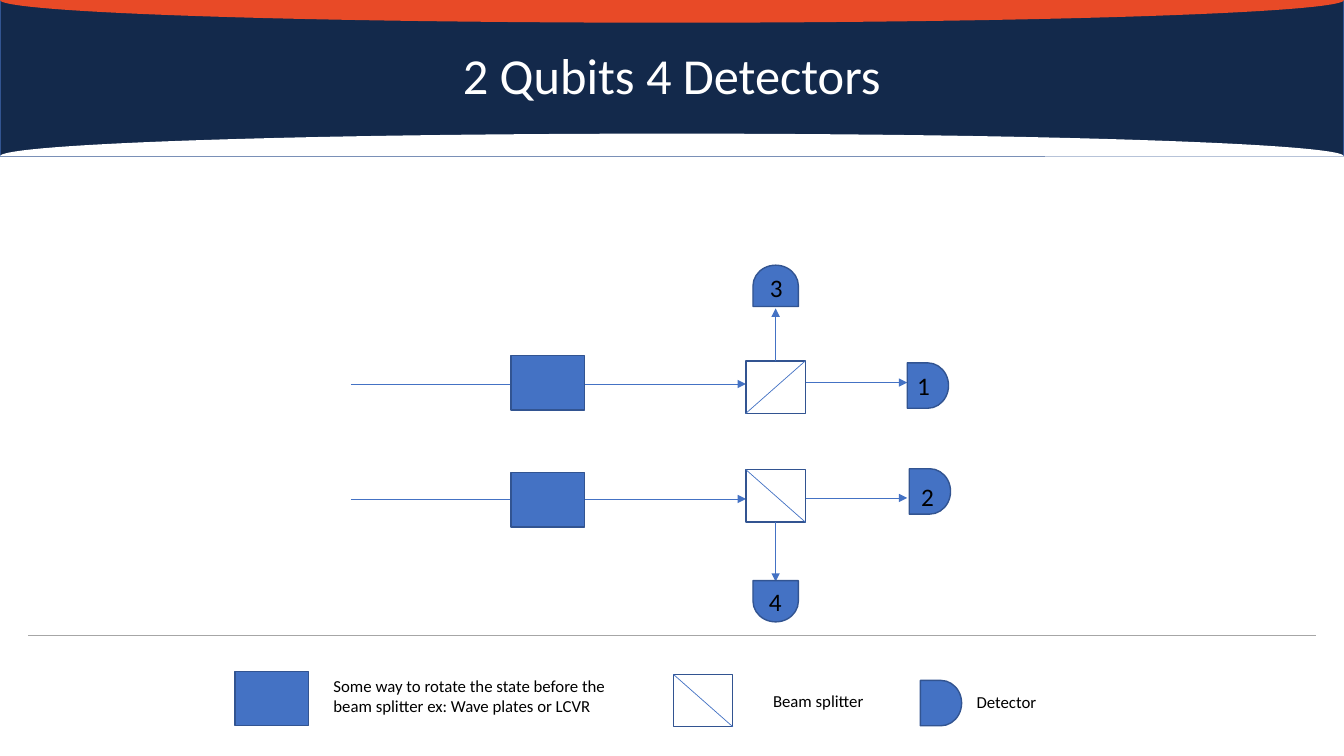
from lxml.etree import SubElement
from pptx import Presentation
from pptx.dml.color import RGBColor
from pptx.enum.shapes import MSO_CONNECTOR, MSO_SHAPE
from pptx.enum.text import MSO_ANCHOR, PP_ALIGN
from pptx.oxml.ns import qn
from pptx.util import Inches, Pt

# The slide is a grid of square cells, 0.1 inch wide; all lengths are in cells.
COLS, ROWS = 133.33, 75
BLUE, EDGE, NAVY, RUST = "4472C4", "325491", "13294B", "E84A27"
WHITE, BLACK, GREY = "FFFFFF", "000000", "A6A6A6"
PLATE, CUBE, CELL = (7.3, 5.4), (5.9, 5.2), (4.1, 4.5)


def grid(*cells):
    return [Inches(c / 10) for c in cells]


def color(code):
    return RGBColor.from_string(code)


def add_form(shapes, kind, x, y, size, fill, edge=EDGE, turn=0):
    form = shapes.add_shape(kind, *grid(x, y, *size))
    form.shadow.inherit = False
    form.rotation = turn
    form.fill.solid()
    form.fill.fore_color.rgb = color(fill)
    if edge:
        form.line.color.rgb = color(edge)
        form.line.width = Pt(1)
    else:
        form.line.fill.background()
    return form


def add_line(shapes, start, end, tint=BLUE, arrow=False):
    line = shapes.add_connector(MSO_CONNECTOR.STRAIGHT, *grid(*start, *end))
    line.line.color.rgb = color(tint)
    line.line.width = Pt(0.5)
    if arrow:
        SubElement(line.line._get_or_add_ln(), qn("a:tailEnd"), type="triangle")
    SubElement(line._element.spPr, qn("a:effectLst"))
    return line


def add_text(shapes, x, y, size, words, points, tint=BLACK):
    box = shapes.add_textbox(*grid(x, y, *size))
    frame = box.text_frame
    frame.word_wrap = True
    run = frame.paragraphs[0].add_run()
    run.text = words
    run.font.name = "Calibri"
    run.font.size = Pt(points)
    run.font.color.rgb = color(tint)
    return frame


def add_plate(shapes, x, y):
    add_form(shapes, MSO_SHAPE.RECTANGLE, x, y, PLATE, BLUE)


def add_cube(shapes, x, y, rising=False):
    """Beam splitter: a square with one diagonal."""
    wide, high = CUBE
    cube = add_form(shapes, MSO_SHAPE.RECTANGLE, x, y, CUBE, WHITE)
    left, right = (y + high, y) if rising else (y, y + high)
    add_line(shapes, (x, left), (x + wide, right))
    return cube


def add_cell(shapes, x, y, turn=0):
    """Detector: a half-round cell, facing right unless turned."""
    add_form(shapes, MSO_SHAPE.FLOWCHART_DELAY, x, y, CELL, BLUE, turn=turn)


def add_header(shapes, x, y, wide, high):
    add_form(shapes, MSO_SHAPE.RECTANGLE, x, y, (wide, high), NAVY)
    thick = 4.5
    for mid, turn, fill in ((y + high, 270, WHITE), (y, 90, RUST)):
        arc = add_form(shapes, MSO_SHAPE.ARC, x + (wide - thick) / 2,
                       mid - wide / 2, (thick, wide), fill, None, turn)
        arc.adjustments[0], arc.adjustments[1] = 162, 54.02
    frame = add_text(shapes, x, y, (wide, high), "2 Qubits 4 Detectors", 36, WHITE)
    frame.vertical_anchor = MSO_ANCHOR.MIDDLE
    title = frame.paragraphs[0]
    title.alignment = PP_ALIGN.CENTER
    title.line_spacing = 0.9


def add_path(shapes, x, y, rows, rising, tip, ends):
    """One qubit's beam at height y, with its plate, splitter and two detectors."""
    plate, split, out = rows
    left, right = x + 39.2, x + 45.2
    add_line(shapes, (x, y), (left, y), arrow=True)
    add_plate(shapes, x + 15.9, y + plate)
    cube = add_cube(shapes, left, y + split, rising)
    add_line(shapes, (right, y + out), (x + 55.2, y + out), arrow=True)
    mid = left + CUBE[0] / 2
    side = add_line(shapes, (mid, y), (mid, y + tip), arrow=True)
    side.begin_connect(cube, 0 if tip < 0 else 2)
    for label, dx, dy, turn, tx, ty in ends:
        add_cell(shapes, x + dx, y + dy, turn)
        add_text(shapes, x + dx + tx, y + dy + ty, (3.9, 4), label, 18)


def add_circuit(shapes, x, y):
    add_path(shapes, x, y + 12, (-2.8, -2.3, -0.15), True, -7.5,
             (("1", 55.2, -2.1, 0, 0, 0.2), ("3", 40.1, -12, 270, 0.5, 0.4)))
    add_path(shapes, x, y + 23.4, (-2.6, -2.9, -0.1), False, 8.2,
             (("2", 55.4, -3, 0, 0.2, 0.8), ("4", 40.1, 7.9, 90, 0.4, 0.3)))


def add_legend(shapes, x, y, wide):
    add_line(shapes, (x, y), (x + wide, y), GREY)
    add_plate(shapes, x + 20.5, y + 3.6)
    add_cube(shapes, x + 64, y + 3.9)
    add_cell(shapes, x + 88.5, y + 4.5)
    notes = (
        (29.3, 3.5, (32.6, 5),
         "Some way to rotate the state before the beam splitter ex: Wave plates or LCVR"),
        (72.9, 5, (11.8, 3), "Beam splitter"),
        (93.1, 5.1, (8.8, 3), "Detector"),
    )
    for dx, dy, size, words in notes:
        add_text(shapes, x + dx, y + dy, size, words, 12)


def main():
    deck = Presentation()
    deck.slide_width, deck.slide_height = grid(COLS, ROWS)
    shapes = deck.slides.add_slide(deck.slide_layouts[6]).shapes
    add_header(shapes, 0, 0, COLS, 15.5)
    add_circuit(shapes, 34.8, 26.1)
    add_legend(shapes, 2.8, 63, 127.8)
    deck.save("out.pptx")


if __name__ == "__main__":
    main()
